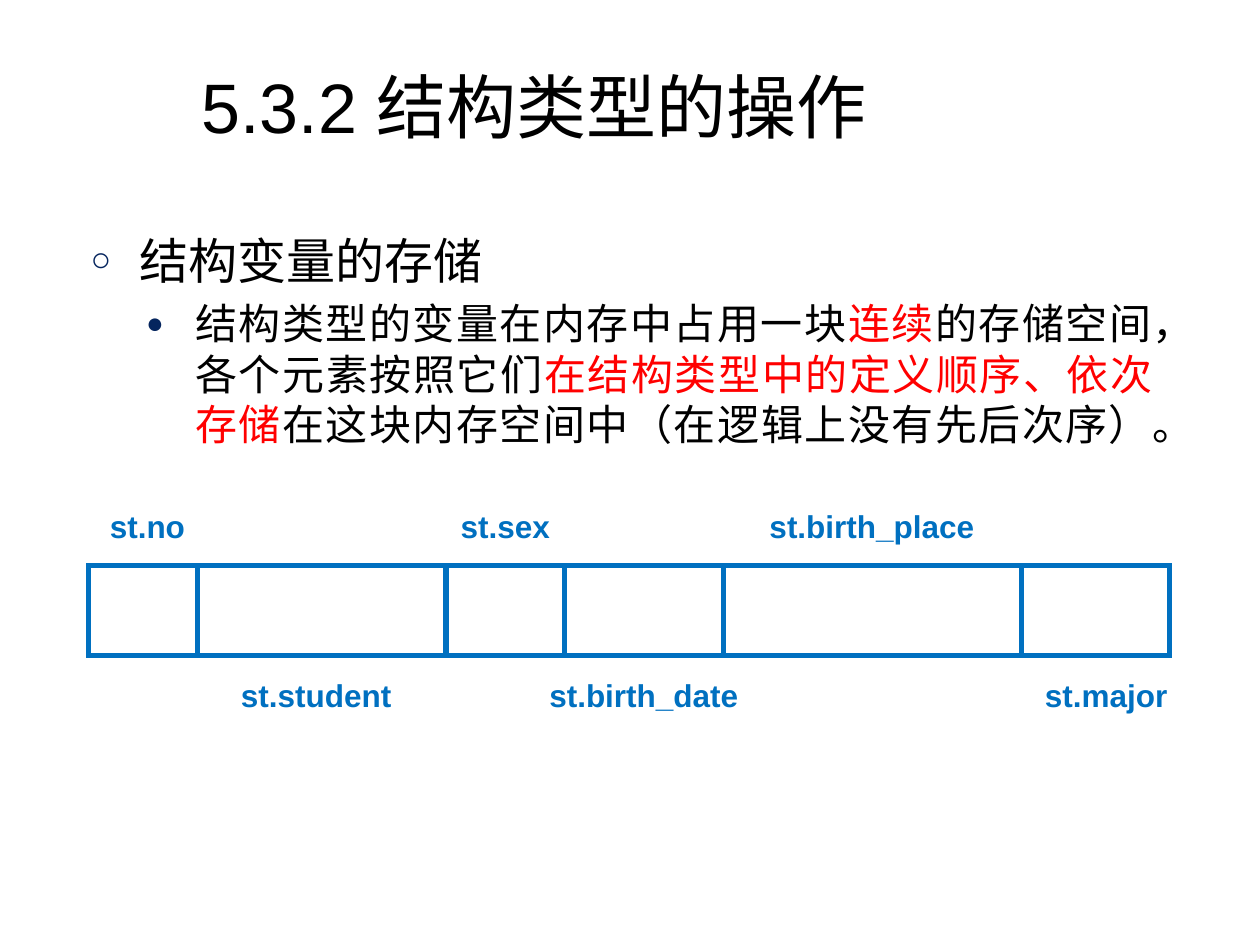
import pptx
import pptx.util
import pptx.dml.color
import pptx.enum.shapes
import pptx.enum.text
import pptx.oxml
import pptx.oxml.ns

Inches = pptx.util.Inches
Pt = pptx.util.Pt
ALIGN = pptx.enum.text.PP_ALIGN
ANCHOR = pptx.enum.text.MSO_ANCHOR

COLORS = {"blue": "0070C0", "red": "FF0000", "black": "000000", "bullet": "05255E"}
LATIN, CJK = "Arial", "Noto Sans CJK SC"

BAR_LEFT, BAR_TOP, BAR_WIDTH, BAR_HEIGHT = 0.7, 4.49, 8.58, 0.71
DIVIDERS = [1.57, 3.54, 4.48, 5.74, 8.11]
LABEL_WIDTH, LABEL_HEIGHT = 2.2, 0.47
ABOVE, BELOW = 3.94, 5.28
# Member name and the centre of its label; labels alternate above and below.
MEMBERS = [
    ("st.no", 1.17), ("st.student", 2.51), ("st.sex", 4.01),
    ("st.birth_date", 5.11), ("st.birth_place", 6.92), ("st.major", 8.78),
]


def rgb(name):
    return pptx.dml.color.RGBColor.from_string(COLORS[name])


def xml(tag, attrs="", inner=""):
    return pptx.oxml.parse_xml(
        f'<a:{tag} {pptx.oxml.ns.nsdecls("a")} {attrs}>{inner}</a:{tag}>')


def style_run(r, size, color, font, bold=False):
    r.font.size = Pt(size)
    r.font.bold = bold
    r.font.color.rgb = rgb(color)
    r.font.name = font
    r._r.get_or_add_rPr().find(pptx.oxml.ns.qn("a:latin")).addnext(
        xml("ea", f'typeface="{CJK}"'))


def place(sp, left, top, width, height):
    sp.left, sp.top = Inches(left), Inches(top)
    sp.width, sp.height = Inches(width), Inches(height)


def set_title(sp):
    place(sp, 1.5, 0, 7.67, 1.67)
    tf = sp.text_frame
    tf.auto_size = pptx.enum.text.MSO_AUTO_SIZE.NONE
    tf.vertical_anchor = ANCHOR.MIDDLE
    tf.text = "5.3.2 结构类型的操作"
    p = tf.paragraphs[0]
    p.alignment = ALIGN.LEFT
    style_run(p.runs[0], 40, "black", LATIN)


def format_bullet(p, char, left, hanging):
    pPr = p._p.get_or_add_pPr()
    pPr.set("marL", str(Inches(left)))
    pPr.set("indent", str(-Inches(hanging)))
    pPr.append(xml("buClr", inner=f'<a:srgbClr val="{COLORS["bullet"]}"/>'))
    pPr.append(xml("buSzPct", 'val="70000"'))
    pPr.append(xml("buFont", f'typeface="{LATIN}"'))
    pPr.append(xml("buChar", f'char="{char}"'))


def add_bullet(p, level, char, left, size, parts, before=0):
    p.level = level
    p.alignment = ALIGN.JUSTIFY
    p.space_before = Pt(before)
    format_bullet(p, char, left, 0.39)
    for text, color in parts:
        r = p.add_run()
        r.text = text
        style_run(r, size, color, CJK)


def set_body(sp):
    place(sp, 0.62, 1.78, 8.63, 4.86)
    tf = sp.text_frame
    tf.auto_size = pptx.enum.text.MSO_AUTO_SIZE.NONE
    add_bullet(tf.paragraphs[0], 0, "○", 0.39, 28, [("结构变量的存储", "black")])
    add_bullet(tf.add_paragraph(), 1, "●", 0.83, 24, [
        ("结构类型的变量在内存中占用一块", "black"),
        ("连续", "red"),
        ("的存储空间，各个元素按照它们", "black"),
        ("在结构类型中的定义顺序、依次存储", "red"),
        ("在这块内存空间中（在逻辑上没有先后次序）。", "black"),
    ], before=4.8)


def style_line(sp):
    sp.line.color.rgb = rgb("blue")
    sp.line.width = Pt(3)
    sp.line._get_or_add_ln().append(xml("miter", 'lim="800000"'))


def add_memory_bar(slide):
    sp = slide.shapes.add_shape(
        pptx.enum.shapes.MSO_SHAPE.RECTANGLE, Inches(BAR_LEFT), Inches(BAR_TOP),
        Inches(BAR_WIDTH), Inches(BAR_HEIGHT))
    sp.shadow.inherit = False
    sp.fill.background()
    style_line(sp)
    for x in DIVIDERS:
        line = slide.shapes.add_connector(
            pptx.enum.shapes.MSO_CONNECTOR.STRAIGHT, Inches(x), Inches(BAR_TOP),
            Inches(x), Inches(BAR_TOP + BAR_HEIGHT))
        style_line(line)
        line._element.spPr.append(xml("effectLst"))


def add_label(slide, text, center, top):
    sp = slide.shapes.add_textbox(
        Inches(center - LABEL_WIDTH / 2), Inches(top),
        Inches(LABEL_WIDTH), Inches(LABEL_HEIGHT))
    tf = sp.text_frame
    tf.word_wrap = False
    tf.vertical_anchor = ANCHOR.MIDDLE
    tf.text = text
    p = tf.paragraphs[0]
    p.alignment = ALIGN.CENTER
    style_run(p.runs[0], 18, "blue", LATIN, bold=True)


def main():
    prs = pptx.Presentation()
    prs.slide_width, prs.slide_height = Inches(10), Inches(7.5)
    slide = prs.slides.add_slide(prs.slide_layouts[1])
    set_title(slide.shapes.title)
    set_body(slide.placeholders[1])
    add_memory_bar(slide)
    for i, (name, center) in enumerate(MEMBERS):
        add_label(slide, name, center, BELOW if i % 2 else ABOVE)
    prs.save("out.pptx")


if __name__ == "__main__":
    main()
